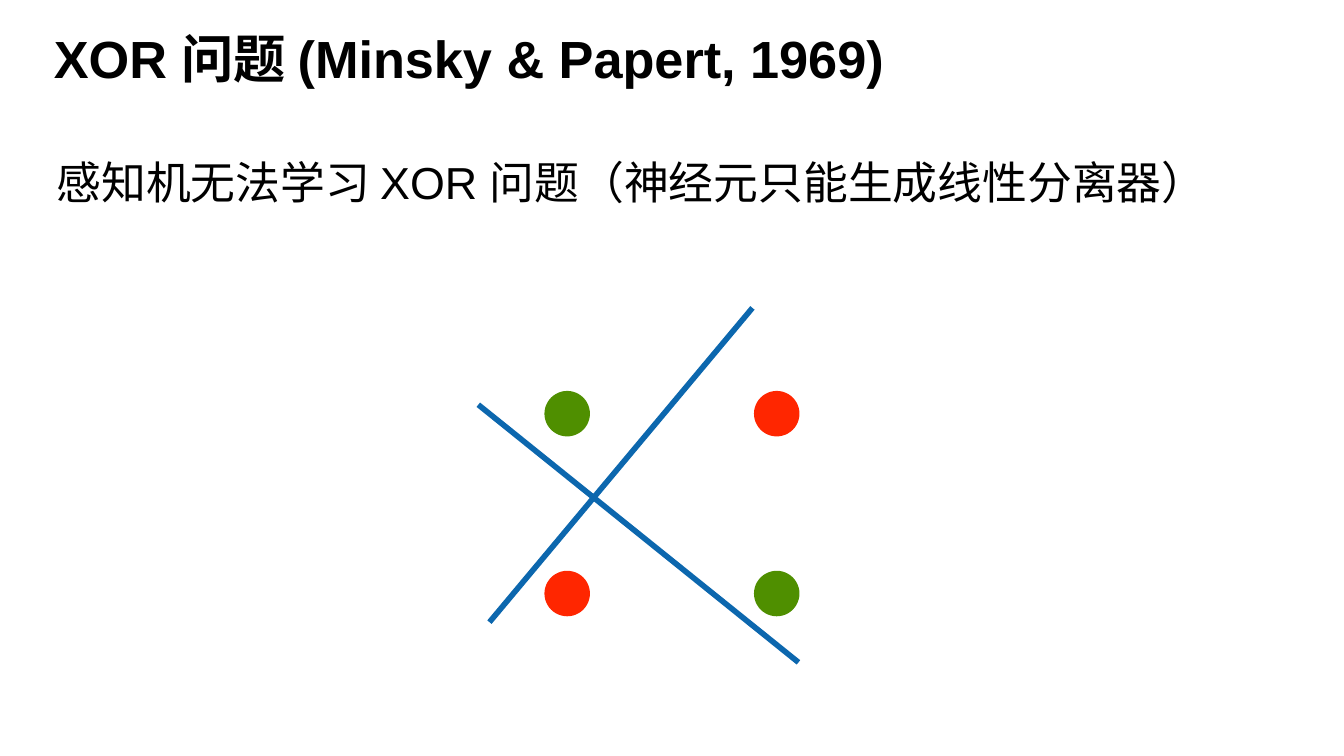
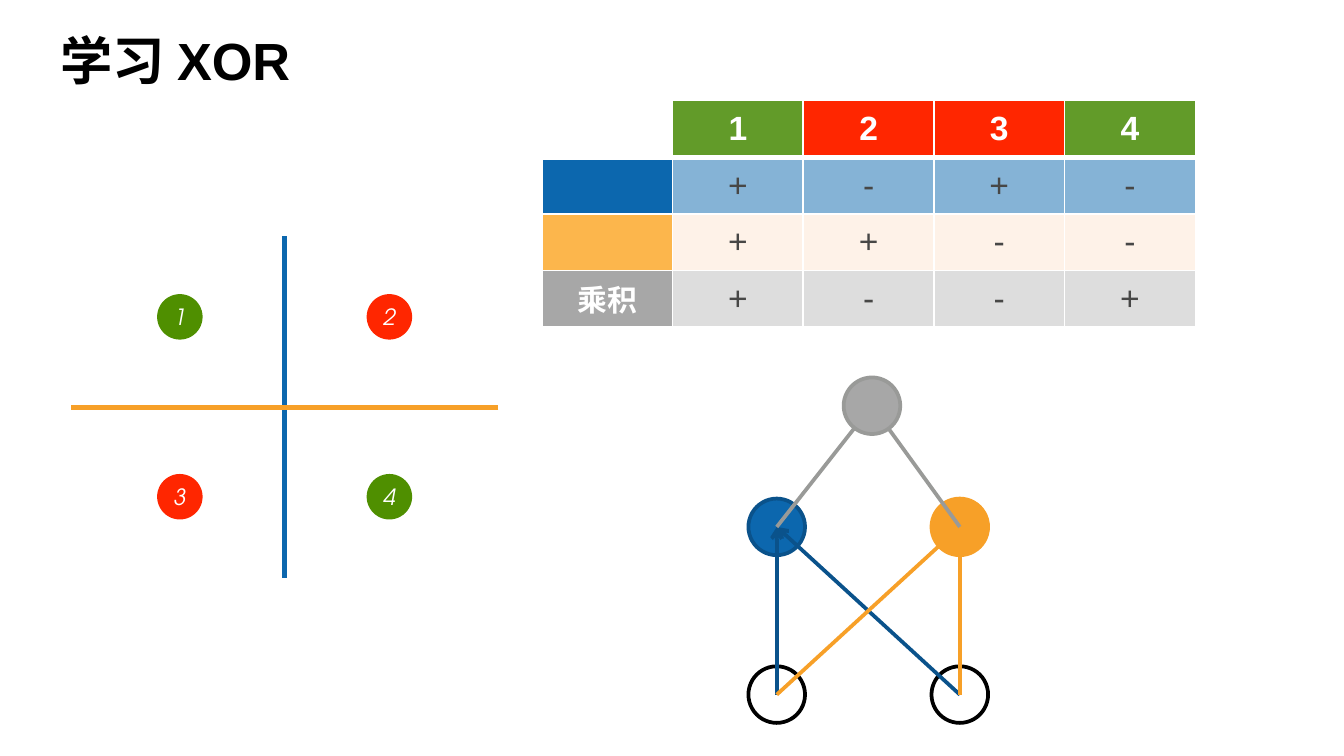
from dataclasses import dataclass
from typing import Optional, Union

from lxml import etree
from pptx import Presentation
from pptx.dml.color import RGBColor
from pptx.enum.shapes import MSO_CONNECTOR, MSO_SHAPE
from pptx.enum.text import MSO_ANCHOR, PP_ALIGN
from pptx.oxml.ns import qn
from pptx.shapes.shapetree import GroupShapes, SlideShapes
from pptx.slide import Slide
from pptx.table import _Cell
from pptx.text.text import TextFrame
from pptx.util import Cm, Pt

Shapes = Union[SlideShapes, GroupShapes]
Point = tuple[float, float]

OVAL = MSO_SHAPE.OVAL
STRAIGHT = MSO_CONNECTOR.STRAIGHT
MIDDLE = MSO_ANCHOR.MIDDLE
TOP = MSO_ANCHOR.TOP
CENTER = PP_ALIGN.CENTER

WHITE = RGBColor(0xFF, 0xFF, 0xFF)
BLACK = RGBColor(0x00, 0x00, 0x00)
GREEN = RGBColor(0x4F, 0x8F, 0x00)
RED = RGBColor(0xFF, 0x26, 0x00)
BLUE = RGBColor(0x0C, 0x67, 0xAE)
DARK_BLUE = RGBColor(0x0A, 0x52, 0x8B)
ORANGE = RGBColor(0xF7, 0xA0, 0x28)
GRAY = RGBColor(0xA7, 0xA7, 0xA7)
DARK_GRAY = RGBColor(0x99, 0x9A, 0x98)
HEADER_GREEN = RGBColor(0x62, 0x9B, 0x29)
LIGHT_BLUE = RGBColor(0x85, 0xB3, 0xD6)
LABEL_ORANGE = RGBColor(0xFC, 0xB6, 0x4C)
LIGHT_ORANGE = RGBColor(0xFE, 0xF2, 0xE8)
LIGHT_GRAY = RGBColor(0xDD, 0xDD, 0xDD)
CELL_TEXT = RGBColor(0x47, 0x47, 0x46)

MAIN_FONT = "Arial"
DOT_FONT = "TeX Gyre Adventor"
TEXT_WIDTH = 22.78
DOT_SIZE = 0.86
DOT_STEP_X, DOT_STEP_Y = 3.96, 3.4
DOT_COLORS = (GREEN, RED, RED, GREEN)
NEURON_SIZE = 1.07
COLUMN_WIDTH, ROW_HEIGHT = 2.47, 1.07


@dataclass(frozen=True)
class TextStyle:
    size: float
    color: RGBColor = BLACK
    bold: bool = False
    italic: bool = False
    font: str = MAIN_FONT


@dataclass(frozen=True)
class Line:
    start: Point
    end: Point
    color: RGBColor
    width: float = 3
    arrow: bool = False


@dataclass(frozen=True)
class Neuron:
    center: Point
    fill: RGBColor
    outline: RGBColor


@dataclass(frozen=True)
class SignRow:
    label: str
    label_fill: RGBColor
    signs: str
    fill: RGBColor


TITLE_STYLE = TextStyle(28, bold=True)
BODY_STYLE = TextStyle(24)
DOT_STYLE = TextStyle(12, WHITE, italic=True, font=DOT_FONT)
HEADER_STYLE = TextStyle(18, WHITE, bold=True)
LABEL_STYLE = TextStyle(16, WHITE, bold=True)
SIGN_STYLE = TextStyle(18, CELL_TEXT)

SEPARATORS = (
    Line((9.25, 11.76), (14.22, 5.82), BLUE),
    Line((15.09, 12.52), (9.04, 7.65), BLUE),
)
AXES = (
    Line((5.38, 10.92), (5.38, 4.47), BLUE),
    Line((9.42, 7.7), (1.35, 7.7), ORANGE),
)
SIGN_ROWS = (
    SignRow("", BLUE, "+-+-", LIGHT_BLUE),
    SignRow("", LABEL_ORANGE, "++--", LIGHT_ORANGE),
    SignRow("乘积", GRAY, "+--+", LIGHT_GRAY),
)

INPUT_LEFT, INPUT_RIGHT = (14.68, 13.13), (18.14, 13.13)
HIDDEN_LEFT, HIDDEN_RIGHT = (14.68, 9.96), (18.14, 9.96)
OUTPUT = (16.48, 7.67)


def link(start: Point, end: Point, color: RGBColor) -> Line:
    return Line(start, end, color, width=2, arrow=True)


# Drawn from back to front: some neurons cover the arrowheads that reach them.
NETWORK = (
    Neuron(INPUT_LEFT, WHITE, BLACK),
    Neuron(INPUT_RIGHT, WHITE, BLACK),
    Neuron(HIDDEN_LEFT, BLUE, DARK_BLUE),
    link(INPUT_LEFT, HIDDEN_LEFT, DARK_BLUE),
    link(INPUT_RIGHT, HIDDEN_LEFT, DARK_BLUE),
    link(INPUT_LEFT, HIDDEN_RIGHT, ORANGE),
    Neuron(HIDDEN_RIGHT, ORANGE, ORANGE),
    link(INPUT_RIGHT, HIDDEN_RIGHT, ORANGE),
    link(HIDDEN_LEFT, OUTPUT, DARK_GRAY),
    link(HIDDEN_RIGHT, OUTPUT, DARK_GRAY),
    Neuron(OUTPUT, GRAY, DARK_GRAY),
)


def write_text(text_frame: TextFrame, text: str, style: TextStyle) -> None:
    text_frame.text = text
    for run in text_frame.paragraphs[0].runs:
        run.font.name = style.font
        run.font.size = Pt(style.size)
        run.font.bold = style.bold
        run.font.italic = style.italic
        run.font.color.rgb = style.color


def set_margins(target: Union[TextFrame, _Cell], margin: float) -> None:
    target.margin_left = target.margin_right = Cm(margin)
    target.margin_top = target.margin_bottom = Cm(margin)


def add_text(slide: Slide, text: str, left: float, top: float, height: float,
             style: TextStyle, anchor: MSO_ANCHOR) -> TextFrame:
    box = slide.shapes.add_textbox(Cm(left), Cm(top), Cm(TEXT_WIDTH), Cm(height))
    text_frame = box.text_frame
    text_frame.word_wrap = True
    text_frame.vertical_anchor = anchor
    set_margins(text_frame, 0.13)
    write_text(text_frame, text, style)
    return text_frame


def add_title(slide: Slide, text: str, left: float, top: float) -> None:
    add_text(slide, text, left, top, 1.52, TITLE_STYLE, MIDDLE)


def add_line(shapes: Shapes, line: Line) -> None:
    connector = shapes.add_connector(STRAIGHT, *map(Cm, line.start + line.end))
    connector.line.color.rgb = line.color
    connector.line.width = Pt(line.width)
    properties = connector._element.spPr
    if line.arrow:
        etree.SubElement(properties.find(qn("a:ln")), qn("a:tailEnd"), type="arrow")
    etree.SubElement(properties, qn("a:effectLst"))


def add_circle(shapes: Shapes, left: float, top: float, size: float, fill: RGBColor,
               outline: Optional[RGBColor] = None, text: str = "") -> None:
    circle = shapes.add_shape(OVAL, Cm(left), Cm(top), Cm(size), Cm(size))
    circle.shadow.inherit = False
    circle.fill.solid()
    circle.fill.fore_color.rgb = fill
    if outline is None:
        circle.line.fill.background()
    else:
        circle.line.color.rgb = outline
        circle.line.width = Pt(2)
    if text:
        text_frame = circle.text_frame
        set_margins(text_frame, 0.08)
        text_frame.vertical_anchor = MIDDLE
        write_text(text_frame, text, DOT_STYLE)
        text_frame.paragraphs[0].alignment = CENTER


def add_dots(shapes: Shapes, left: float, top: float, numbered: bool = False) -> None:
    """Place the four XOR points on a two-by-two grid, row by row."""
    for index, color in enumerate(DOT_COLORS):
        row, column = divmod(index, 2)
        add_circle(shapes, left + column * DOT_STEP_X, top + row * DOT_STEP_Y, DOT_SIZE,
                   color, text=str(index + 1) if numbered else "")


def set_borders(cell: _Cell, top_width: float, bottom_width: float) -> None:
    """Draw white borders; they must precede the fill in the cell properties."""
    properties = cell._tc.get_or_add_tcPr()
    widths = {"a:lnL": 1, "a:lnR": 1, "a:lnT": top_width, "a:lnB": bottom_width}
    for position, (tag, width) in enumerate(widths.items()):
        border = etree.Element(qn(tag), w=str(Pt(width)))
        fill = etree.SubElement(border, qn("a:solidFill"))
        etree.SubElement(fill, qn("a:srgbClr"), val=str(WHITE))
        properties.insert(position, border)


def fill_cell(cell: _Cell, text: str, fill: RGBColor, style: TextStyle) -> None:
    cell.fill.solid()
    cell.fill.fore_color.rgb = fill
    cell.vertical_anchor = MIDDLE
    set_margins(cell, 0)
    write_text(cell.text_frame, text, style)
    cell.text_frame.paragraphs[0].alignment = CENTER


def add_sign_table(slide: Slide, left: float, top: float) -> None:
    row_count, column_count = len(SIGN_ROWS) + 1, len(DOT_COLORS) + 1
    table = slide.shapes.add_table(
        row_count, column_count, Cm(left), Cm(top),
        Cm(column_count * COLUMN_WIDTH), Cm(row_count * ROW_HEIGHT)).table
    table.first_row = table.horz_banding = False
    for column in table.columns:
        column.width = Cm(COLUMN_WIDTH)
    for row in table.rows:
        row.height = Cm(ROW_HEIGHT)

    fill_cell(table.cell(0, 0), "", WHITE, HEADER_STYLE)
    for number, color in enumerate(DOT_COLORS, start=1):
        header_fill = HEADER_GREEN if color == GREEN else RED
        fill_cell(table.cell(0, number), str(number), header_fill, HEADER_STYLE)
    for row_index, sign_row in enumerate(SIGN_ROWS, start=1):
        fill_cell(table.cell(row_index, 0), sign_row.label, sign_row.label_fill, LABEL_STYLE)
        for number, sign in enumerate(sign_row.signs, start=1):
            fill_cell(table.cell(row_index, number), sign, sign_row.fill, SIGN_STYLE)
    for row_index in range(row_count):
        for column_index in range(column_count):
            set_borders(table.cell(row_index, column_index),
                        top_width=3 if row_index == 1 else 1,
                        bottom_width=3 if row_index == 0 else 1)


def add_network(shapes: Shapes) -> None:
    for part in NETWORK:
        if isinstance(part, Line):
            add_line(shapes, part)
        else:
            x, y = part.center
            add_circle(shapes, x - NEURON_SIZE / 2, y - NEURON_SIZE / 2, NEURON_SIZE,
                       part.fill, part.outline)


def build_problem_slide(slide: Slide) -> None:
    add_title(slide, "XOR 问题 (Minsky & Papert, 1969)", 0.89, 0.33)
    body = add_text(slide, "感知机无法学习 XOR 问题（神经元只能生成线性分离器）",
                    0.94, 2.79, 3.84, BODY_STYLE, TOP)
    body.paragraphs[0].space_before = Pt(5)
    for line in SEPARATORS:
        add_line(slide.shapes, line)
    add_dots(slide.shapes, 10.29, 7.39)


def build_learning_slide(slide: Slide) -> None:
    add_title(slide, "学习 XOR", 1.02, 0.36)
    plane = slide.shapes.add_group_shape()
    for line in AXES:
        add_line(plane.shapes, line)
    add_dots(plane.shapes, 2.97, 5.56, numbered=True)
    add_sign_table(slide, 10.24, 1.9)
    add_network(slide.shapes.add_group_shape().shapes)


def main() -> None:
    presentation = Presentation()
    presentation.slide_width = Cm(25.4)
    presentation.slide_height = Cm(14.29)
    blank_layout = presentation.slide_layouts[6]
    for build in (build_problem_slide, build_learning_slide):
        build(presentation.slides.add_slide(blank_layout))
    presentation.save("out.pptx")


if __name__ == "__main__":
    main()
